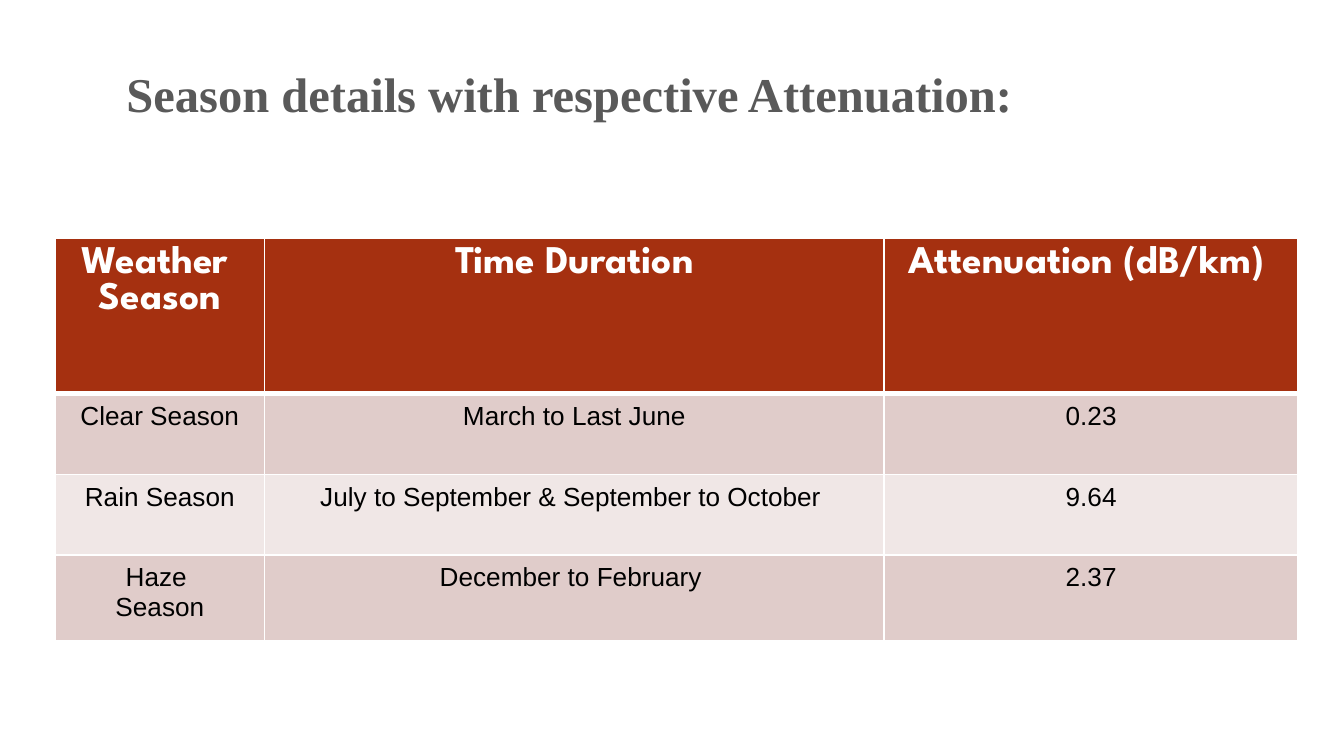
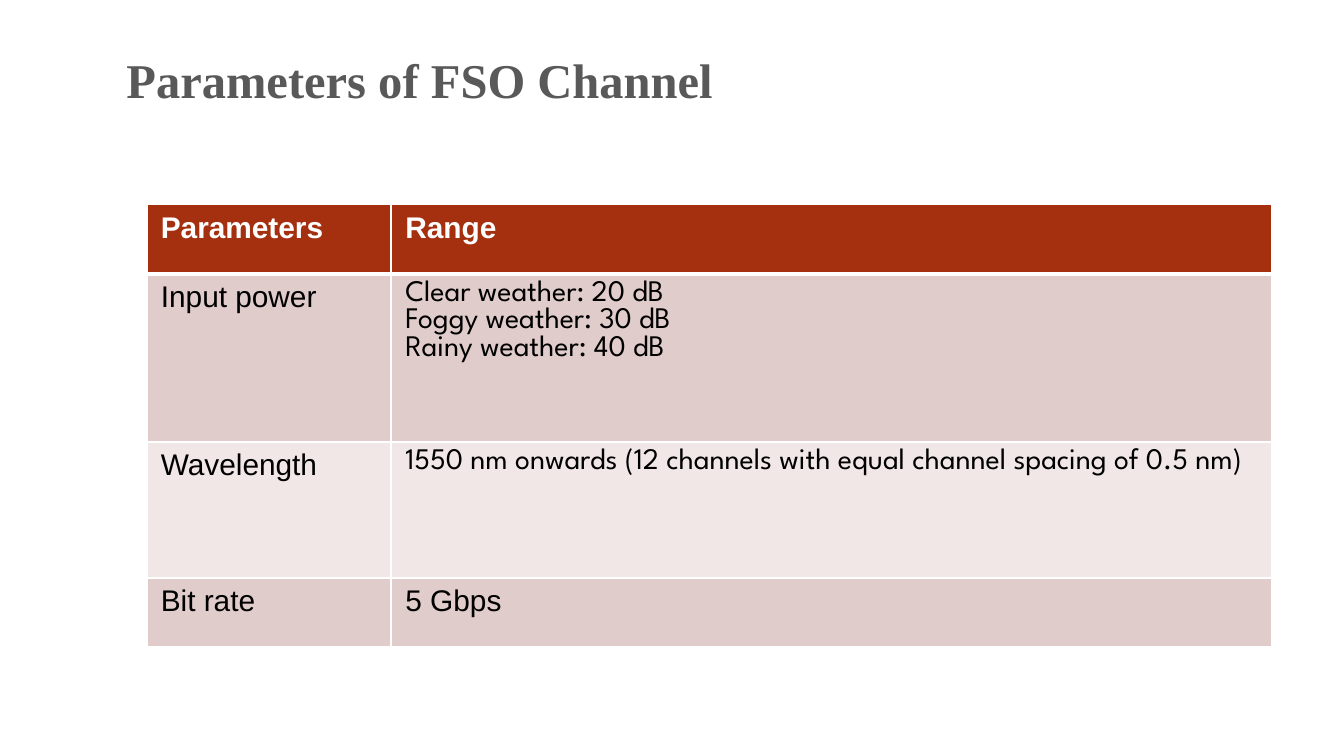
import pptx
import pptx.util
import pptx.dml.color
import pptx.enum.text
import pptx.oxml
import pptx.oxml.ns

Pt = pptx.util.Pt
PP_ALIGN = pptx.enum.text.PP_ALIGN

COLORS = {
    "title": "595959",
    "header": "A53010",
    "band_dark": "E0CCCA",
    "band_light": "F0E7E6",
    "rule": "FFFFFF",
    "header_text": "FFFFFF",
    "body_text": "000000",
}
TITLE_FONT, BODY_FONT, ACCENT_FONT = "Times New Roman", "Arial", "League Spartan"


def rgb(name):
    return pptx.dml.color.RGBColor.from_string(COLORS[name])


def format_runs(paragraph, font_name, size, color, bold):
    for run in paragraph.runs:
        run.font.name = font_name
        run.font.size = Pt(size)
        run.font.bold = bold
        run.font.color.rgb = rgb(color)


def add_title(slide, text, box):
    """Place the heading in the top left of its box."""
    title = slide.shapes.title
    title.left, title.top, title.width, title.height = (Pt(v) for v in box)
    frame = title.text_frame
    frame.text = text
    frame.word_wrap = True
    frame.auto_size = pptx.enum.text.MSO_AUTO_SIZE.NONE
    frame.vertical_anchor = pptx.enum.text.MSO_ANCHOR.TOP
    frame.margin_left = frame.margin_right = Pt(7.2)
    frame.margin_top = frame.margin_bottom = Pt(7.2)
    heading = frame.paragraphs[0]
    heading.alignment = PP_ALIGN.LEFT
    heading.line_spacing = 1.15
    heading.space_after = Pt(12)
    properties = heading._p.get_or_add_pPr()
    properties.set("marL", str(Pt(36)))
    properties.set("indent", "0")
    format_runs(heading, TITLE_FONT, 26, "title", True)


def add_borders(cell, top, bottom):
    """Draw white rules around a cell; the sides are 1 pt wide."""
    properties = cell._tc.get_or_add_tcPr()
    for side, width in (("L", 1), ("R", 1), ("T", top), ("B", bottom)):
        properties.append(pptx.oxml.parse_xml(
            f'<a:ln{side} {pptx.oxml.ns.nsdecls("a")} w="{Pt(width)}">'
            f'<a:solidFill><a:srgbClr val="{COLORS["rule"]}"/></a:solidFill>'
            f'</a:ln{side}>'))


def add_banded_table(slide, origin, widths, heights, rows, align, padding,
                     header_style, body_size, accent_cells=()):
    """Build a table with a dark header row and alternating bands."""
    left, top = origin
    table = slide.shapes.add_table(
        len(rows), len(widths), Pt(left), Pt(top),
        Pt(sum(widths)), Pt(sum(heights))).table
    for column, width in zip(table.columns, widths):
        column.width = Pt(width)
    for row, height in zip(table.rows, heights):
        row.height = Pt(height)

    for r, texts in enumerate(rows):
        for c, text in enumerate(texts):
            cell = table.cell(r, c)
            cell.text = text
            cell.margin_left = cell.margin_right = Pt(7.6)
            cell.margin_top = cell.margin_bottom = Pt(padding)
            add_borders(cell, 3 if r == 1 else 1, 3 if r == 0 else 1)
            if r == 0:
                fill = "header"
                style = (*header_style, "header_text", True)
            else:
                fill = "band_dark" if r % 2 else "band_light"
                font = ACCENT_FONT if (r, c) in accent_cells else BODY_FONT
                style = (font, body_size, "body_text", False)
            cell.fill.solid()
            cell.fill.fore_color.rgb = rgb(fill)
            for paragraph in cell.text_frame.paragraphs:
                paragraph.alignment = align
                format_runs(paragraph, *style)


def season_slide(slide):
    add_title(slide, "Season details with respective Attenuation:",
              (24.5, 22.3, 671, 383))
    add_banded_table(
        slide, (29.5, 127.5), (112.3, 331.9, 221.8), (83.5, 43.2, 43.2, 46.1),
        [("Weather \nSeason", "Time Duration", "Attenuation (dB/km) "),
         ("Clear Season", "March to Last June", "0.23"),
         ("Rain Season", "July to September & September to October ", "9.64"),
         ("Haze \nSeason", "December to February ", "2.37")],
        PP_ALIGN.CENTER, 4.2, (ACCENT_FONT, 21), 14)


def parameter_slide(slide):
    add_title(slide, "Parameters of FSO Channel", (24.5, 15.1, 671, 362))
    add_banded_table(
        slide, (78.6, 109.6), (131, 471.6), (37.2, 90, 72.8, 37.2),
        [("Parameters", "Range"),
         ("Input power", "Clear weather: 20 dB\nFoggy weather: 30 dB\n"
                         "Rainy weather: 40 dB"),
         ("Wavelength", "1550 nm onwards (12 channels with equal channel "
                        "spacing of 0.5 nm)"),
         ("Bit rate", "5 Gbps")],
        PP_ALIGN.LEFT, 3.6, (BODY_FONT, 16), 16,
        accent_cells={(1, 1), (2, 1)})


def main():
    deck = pptx.Presentation()
    deck.slide_width, deck.slide_height = Pt(720), Pt(405)
    title_only = deck.slide_layouts[5]
    for build in (season_slide, parameter_slide):
        build(deck.slides.add_slide(title_only))
    deck.save("out.pptx")


if __name__ == "__main__":
    main()
